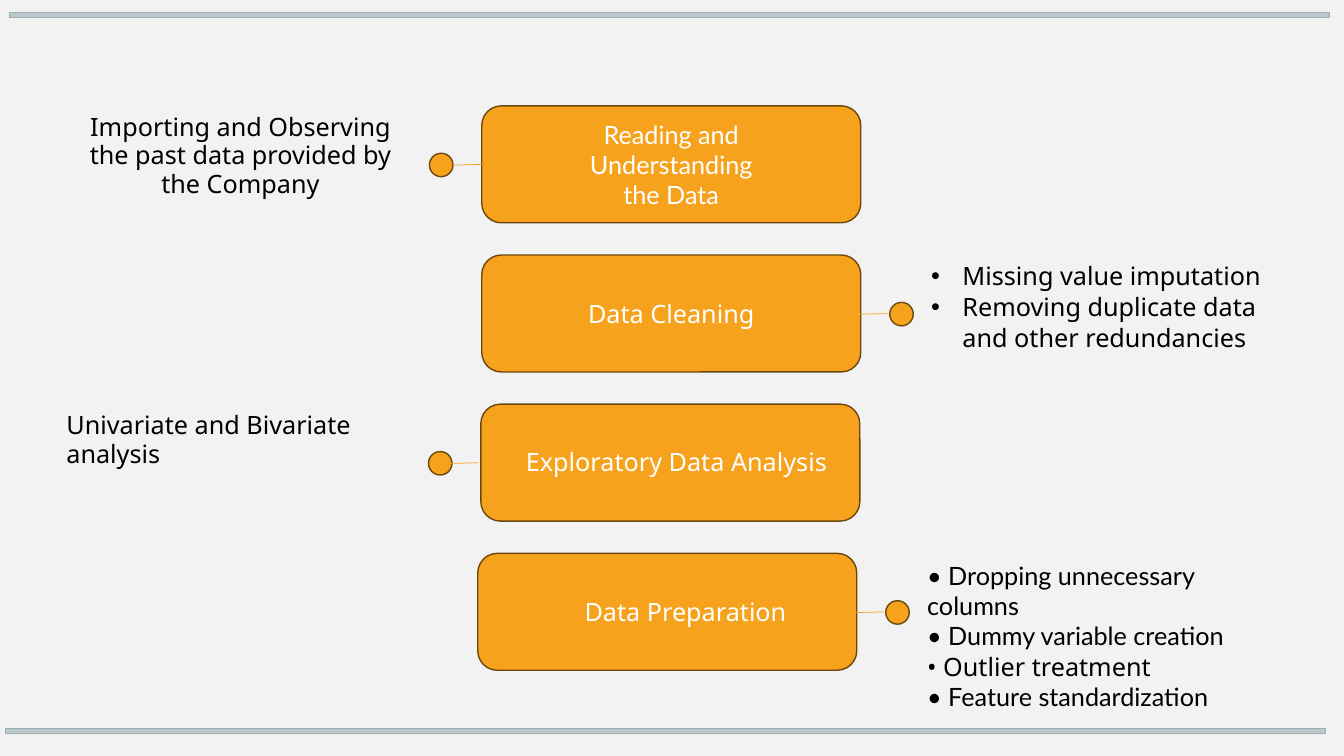
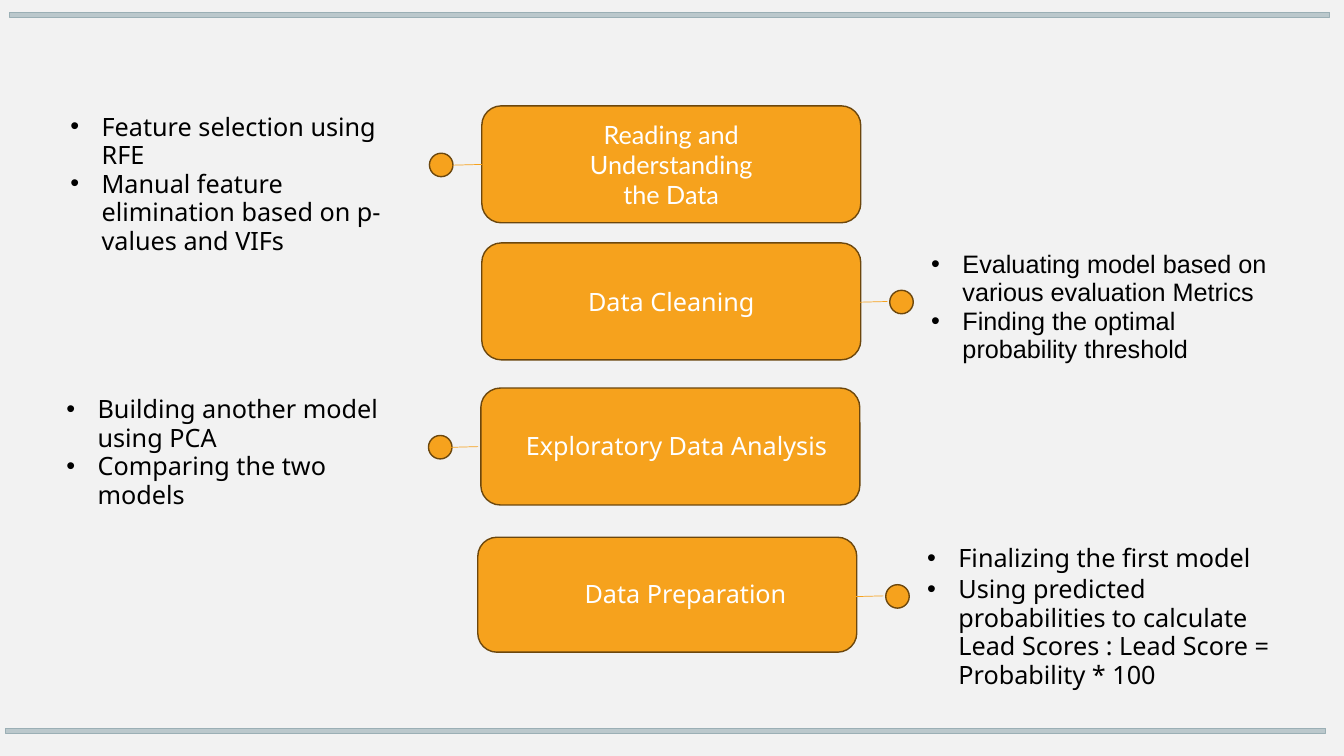
from dataclasses import dataclass, field
from lxml.etree import SubElement
from pptx import Presentation
from pptx.dml.color import RGBColor
from pptx.enum.shapes import MSO_CONNECTOR, MSO_SHAPE
from pptx.enum.text import MSO_ANCHOR, MSO_AUTO_SIZE, PP_ALIGN
from pptx.oxml.ns import qn
from pptx.util import Inches, Pt

COLORS = {
    "background": "F2F2F2", "accent": "F6A21D", "outline": "6C470D",
    "band_start": "BBC8CC", "band_end": "B8C6CB", "band_line": "9BAFB5",
    "light": "FFFFFF", "dark": "000000",
}
BODY, HEADING, PLAIN = "Noto Sans", "Lato", "Arial"
BULLETS = {"bullet": True, "indent": 0.31}


def color(name):
    return RGBColor.from_string(COLORS[name])


def add_text(para, text, *, font=BODY, ink="dark", align=PP_ALIGN.LEFT,
             leading=20.4, before=0, indent=0, bullet=False):
    span = para.add_run()
    span.text = text
    span.font.name = font
    span.font.size = Pt(18)
    span.font.color.rgb = color(ink)
    para.alignment = align
    para.space_before = Pt(before)
    para.line_spacing = Pt(leading) if leading else 1.0
    props = para._p.get_or_add_pPr()
    props.set("marL", str(Inches(indent)))
    props.set("indent", str(Inches(-0.31) if bullet else 0))
    if bullet:
        SubElement(props, qn("a:buFont")).set("typeface", PLAIN)
        SubElement(props, qn("a:buChar")).set("char", "•")


def fill_frame(frame, lines, **style):
    frame.word_wrap = True
    for index, line in enumerate(lines):
        text, extra = line if isinstance(line, tuple) else (line, {})
        para = frame.add_paragraph() if index else frame.paragraphs[0]
        add_text(para, text, **{**style, **extra})


@dataclass
class Step:
    title: list
    left: float
    on_left: bool
    link_shift: float = 0
    style: dict = field(default_factory=dict)


@dataclass
class Note:
    lines: list
    height: float
    style: dict = field(default_factory=dict)


class Deck:
    def __init__(self):
        self.deck = Presentation()
        self.deck.slide_width = Inches(13.33)
        self.deck.slide_height = Inches(7.5)
        self.page = None

    def x(self, percent):
        return round(self.deck.slide_width * percent / 100)

    def y(self, percent):
        return round(self.deck.slide_height * percent / 100)

    def area(self, left, top, width, height):
        return self.x(left), self.y(top), self.x(width), self.y(height)

    def add_page(self):
        self.page = self.deck.slides.add_slide(self.deck.slide_layouts[6])
        self.page.background.fill.solid()
        self.page.background.fill.fore_color.rgb = color("background")

    def shape(self, kind, *place, line="outline", weight=1):
        box = self.page.shapes.add_shape(kind, *self.area(*place))
        box.shadow.inherit = False
        box.fill.solid()
        box.fill.fore_color.rgb = color("accent")
        box.line.color.rgb = color(line)
        box.line.width = Pt(weight)
        return box

    def band(self, left, top):
        bar = self.shape(MSO_SHAPE.RECTANGLE, left, top, 98.27, 0.67,
                         line="band_line", weight=0.5)
        bar.fill.gradient()
        bar.fill.gradient_angle = 270
        for stop, name in zip(bar.fill.gradient_stops, ("band_start", "band_end")):
            stop.color.rgb = color(name)

    def link(self, left, top):
        line = self.page.shapes.add_connector(
            MSO_CONNECTOR.STRAIGHT, self.x(left), self.y(top),
            self.x(left + 2.17), self.y(top - 0.1))
        line.line.color.rgb = color("accent")
        line.line.width = Pt(0.5)
        SubElement(line._element.spPr, qn("a:effectLst"))

    def note(self, note, left, top):
        box = self.page.shapes.add_textbox(*self.area(left, top, 27.08, note.height))
        fill_frame(box.text_frame, note.lines, **note.style)
        box.text_frame.auto_size = MSO_AUTO_SIZE.SHAPE_TO_FIT_TEXT

    def step(self, step, note, top, height):
        box = self.shape(MSO_SHAPE.ROUNDED_RECTANGLE, step.left, top, 28.2, height)
        box.text_frame.vertical_anchor = MSO_ANCHOR.MIDDLE
        fill_frame(box.text_frame, step.title, ink="light",
                   align=PP_ALIGN.CENTER, **step.style)
        dot, link = (-3.9, -2.17) if step.on_left else (30.35, 28)
        self.shape(MSO_SHAPE.OVAL, step.left + dot, top + 6.27, 1.75, 3.1)
        self.link(step.left + link + step.link_shift, top + 7.85)
        self.note(note, 4.2 if step.on_left else step.left + 32.7, top + 0.27)

    def flow(self, tops, heights, notes):
        self.add_page()
        for row in zip(STEPS, notes, tops, heights):
            self.step(*row)
        self.band(0.68, 1.6)
        self.band(0.38, 96.35)


STEPS = [
    Step(["Reading and", "Understanding", "the Data"], 35.85, True,
         style={"font": HEADING, "leading": None}),
    Step(["Data Cleaning"], 35.85, False, style={"leading": None}),
    Step(["Exploratory Data Analysis"], 35.78, True, -0.2, {"indent": 0.12}),
    Step(["Data Preparation"], 35.55, False, style={"indent": 0.36}),
]
PREPARATION_NOTES = [
    Note(["Importing and Observing the past data provided by the Company"], 12.53,
         {"align": PP_ALIGN.CENTER, "indent": 0.04}),
    Note(["Missing value imputation",
          ("Removing duplicate data", {"before": 1.7}),
          ("and other redundancies", {"before": 1.7, "bullet": False})],
         13.47, BULLETS),
    Note(["Univariate and Bivariate analysis"], 8.8),
    Note(["• Dropping unnecessary columns", "• Dummy variable creation",
          ("• Outlier treatment", {"font": BODY}), "• Feature standardization"],
         17.47, {"font": HEADING, "leading": None}),
]
MODEL_NOTES = [
    Note(["Feature selection using RFE",
          "Manual feature elimination based on p-values and VIFs"],
         20, {"bullet": True, "indent": 0.35}),
    Note(["Evaluating model based on various evaluation Metrics",
          "Finding the optimal probability threshold"],
         16.27, {**BULLETS, "font": PLAIN}),
    Note(["Building another model using PCA", "Comparing the two models"],
         12.53, BULLETS),
    Note(["Finalizing the first model",
          ("Using predicted probabilities to calculate Lead Scores : "
           "Lead Score = Probability * 100", {"before": 1.7})],
         24.53, BULLETS),
]

show = Deck()
show.flow([14 + 19.73 * row for row in range(4)], [15.47] * 4, PREPARATION_NOTES)
show.flow([14, 32.13, 51.33, 71.07], [15.47] * 3 + [15.2], MODEL_NOTES)
show.deck.save("out.pptx")
